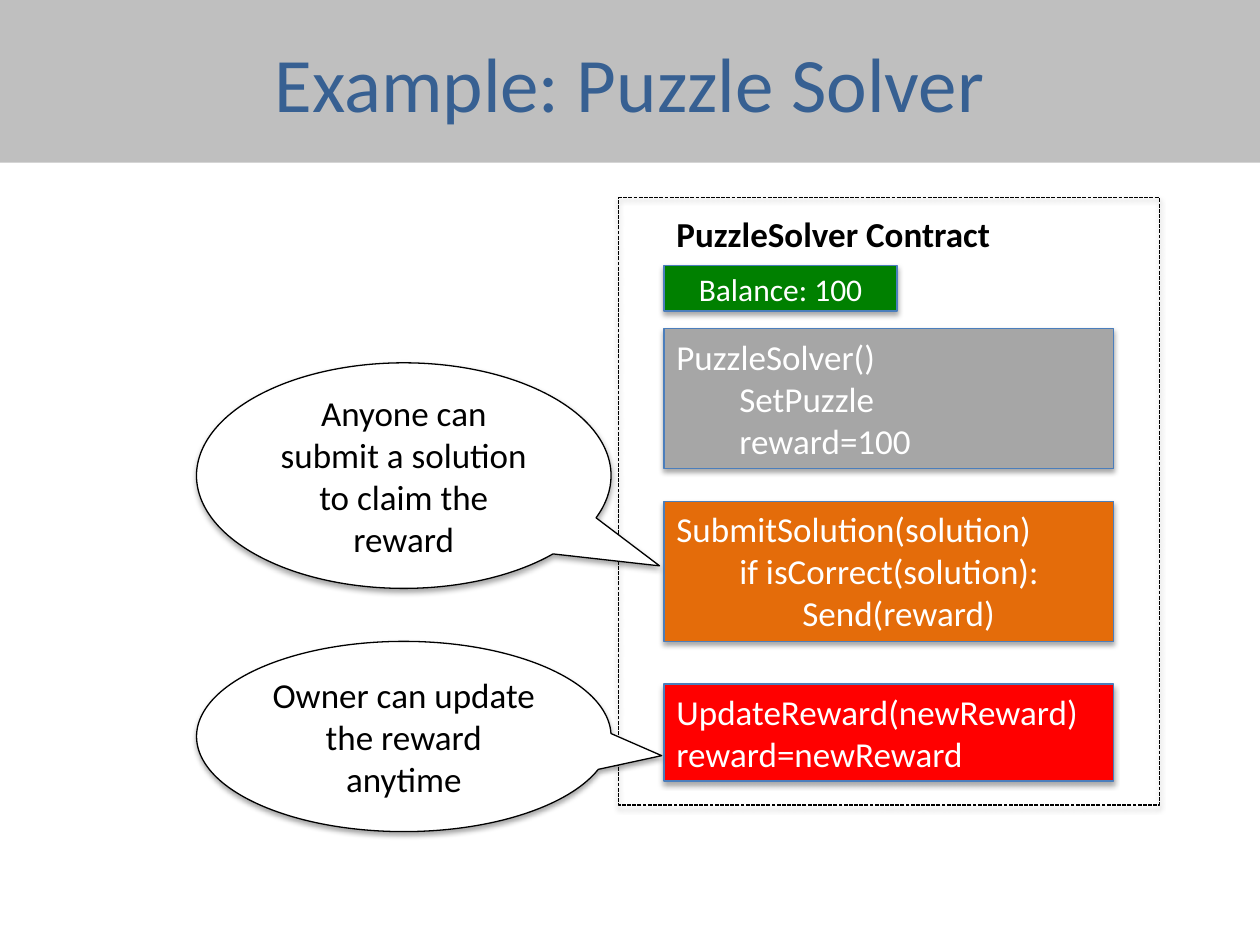
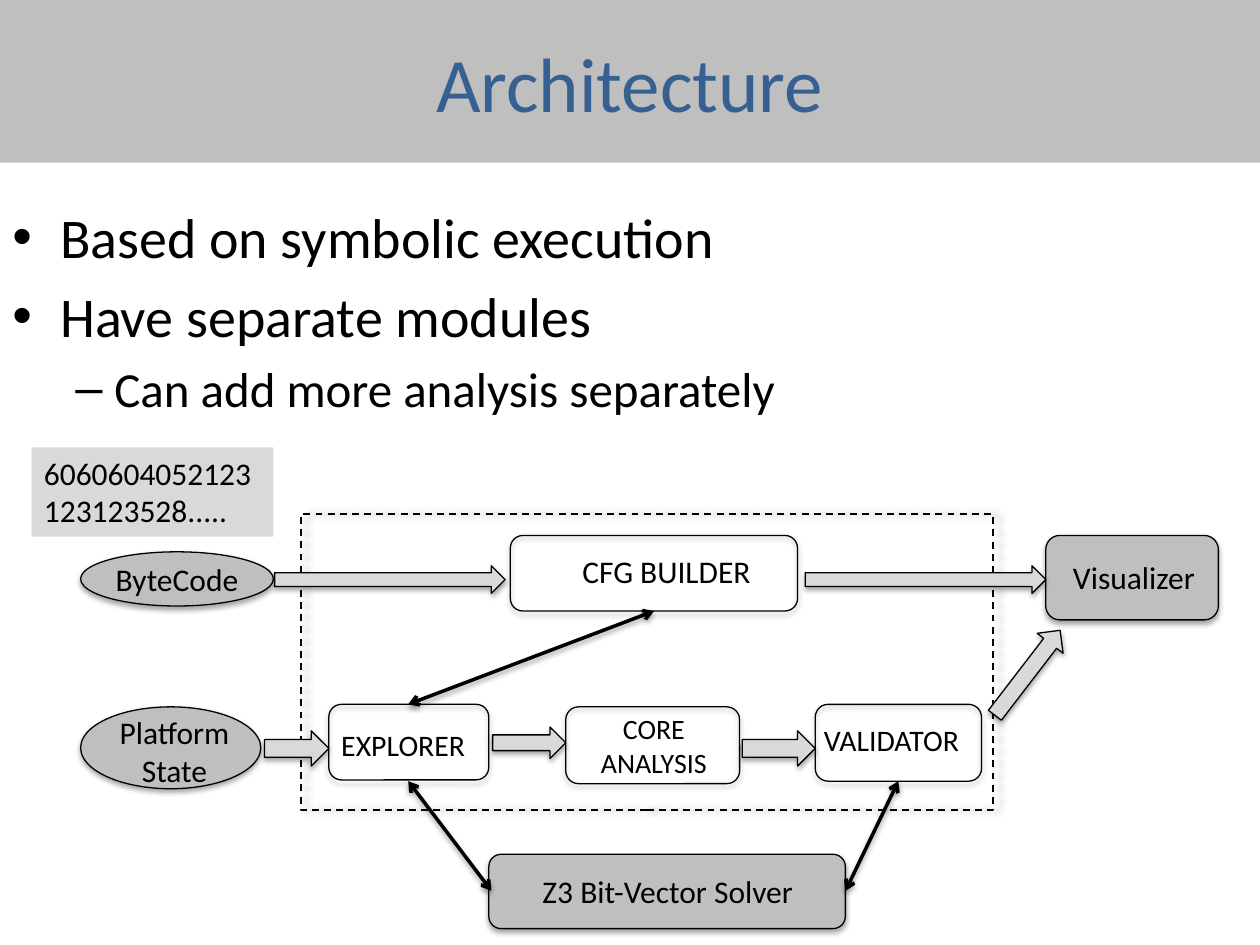
from dataclasses import dataclass

from lxml.etree import SubElement
from pptx import Presentation
from pptx.dml.color import RGBColor
from pptx.enum.dml import MSO_LINE
from pptx.enum.shapes import MSO_CONNECTOR, MSO_SHAPE
from pptx.enum.text import MSO_ANCHOR, PP_ALIGN
from pptx.oxml.ns import qn
from pptx.util import Inches, Pt


@dataclass(frozen=True)
class Theme:
    font: str = "Calibri"
    # Colours
    black: str = "000000"
    white: str = "FFFFFF"
    title: str = "376092"
    band: str = "BFBFBF"
    pale: str = "D9D9D9"
    edge: str = "4B7EBC"
    grey: str = "A6A6A6"
    orange: str = "E46C0A"
    red: str = "FF0000"
    green: str = "008000"
    # Type sizes
    title_size: int = 44
    bullet_size: int = 32
    sub_bullet_size: int = 28
    code_size: int = 20
    label_size: int = 18
    module_size: int = 17
    small_size: int = 16


THEME = Theme()
COLUMNS, ROWS = 100, 75  # square grid cells, a tenth of an inch each
CELL = Inches(0.1)
SOFT = (35, 3.1, 1.8, 90)  # shadow: opacity %, blur pt, distance pt, angle
SIDE = (40, 4, 3, 0)


def cells(*lengths):
    return [round(length * CELL) for length in lengths]


def colour(value):
    return RGBColor.from_string(value)


# ---- Element helpers ----

def add_shadow(shape, shadow):
    properties = shape._element.spPr
    effects = properties.find(qn("a:effectLst"))
    if effects is None:
        effects = SubElement(properties, qn("a:effectLst"))
    if shadow is None:
        return
    opacity, blur, distance, angle = shadow
    outer = SubElement(effects, qn("a:outerShdw"), blurRad=str(Pt(blur)),
                       dist=str(Pt(distance)), dir=str(angle * 60000), rotWithShape="0")
    tone = SubElement(outer, qn("a:srgbClr"), val=THEME.black)
    SubElement(tone, qn("a:alpha"), val=str(opacity * 1000))


def write(shape, text, size, tone=THEME.black, align=PP_ALIGN.LEFT,
          anchor=MSO_ANCHOR.TOP, bold=False):
    frame = shape.text_frame
    frame.word_wrap = True
    frame.vertical_anchor = anchor
    frame.text = text
    for para in frame.paragraphs:
        para.alignment = align
        for span in para.runs:
            span.font.name = THEME.font
            span.font.size = Pt(size)
            span.font.bold = bold
            span.font.color.rgb = colour(tone)
    return frame


def indent(para, left, hanging=0):
    properties = para._p.get_or_add_pPr()
    properties.set("marL", str(Inches(left)))
    properties.set("indent", str(-Inches(hanging)))
    return properties


def add_box(page, kind, place, fill=None, line=THEME.black, width=0.75,
            dash=None, shadow=SOFT):
    box = page.shapes.add_shape(kind, *cells(*place))
    if fill:
        box.fill.solid()
        box.fill.fore_color.rgb = colour(fill)
    else:
        box.fill.background()
    if line:
        box.line.color.rgb = colour(line)
        box.line.width = Pt(width)
        if dash:
            box.line.dash_style = dash
    else:
        box.line.fill.background()
    box.shadow.inherit = False
    add_shadow(box, shadow)
    return box


def add_label(page, place, text, size, align=PP_ALIGN.CENTER, bold=False):
    label = page.shapes.add_textbox(*cells(*place))
    write(label, text, size, align=align, bold=bold)


def add_page(deck, title):
    page = deck.slides.add_slide(deck.slide_layouts[6])
    band = add_box(page, MSO_SHAPE.RECTANGLE, (0, 0, COLUMNS, 12.9), THEME.band,
                   line=None, shadow=None)
    write(band, title, THEME.title_size, THEME.title, PP_ALIGN.CENTER, MSO_ANCHOR.MIDDLE)
    return page


def add_code(page, top, height, fill, lines):
    """Code block; lines are (indent level, text) pairs."""
    block = add_box(page, MSO_SHAPE.RECTANGLE, (52.7, top, 35.7, height), fill, THEME.edge)
    frame = write(block, "\n".join(text for _, text in lines), THEME.code_size, THEME.white)
    for para, (level, _) in zip(frame.paragraphs, lines):
        indent(para, level / 2)


def add_callout(page, top, height, tip, text):
    callout = add_box(page, MSO_SHAPE.OVAL_CALLOUT, (15.6, top, 32.9, height), THEME.white)
    callout.adjustments[0], callout.adjustments[1] = tip
    write(callout, text, THEME.code_size, align=PP_ALIGN.CENTER, anchor=MSO_ANCHOR.MIDDLE)


def add_bullets(page, place, items):
    """Bulleted list; items are (level, text) pairs."""
    styles = [("•", 0.38, 0.38, THEME.bullet_size), ("–", 0.81, 0.31, THEME.sub_bullet_size)]
    box = page.shapes.add_textbox(*cells(*place))
    frame = write(box, "\n".join(text for _, text in items), THEME.bullet_size)
    for para, (level, _) in zip(frame.paragraphs, items):
        mark, left, hanging, size = styles[level]
        para.space_before = Pt(size * 0.2)
        para.runs[0].font.size = Pt(size)
        properties = indent(para, left, hanging)
        SubElement(properties, qn("a:buFont"), typeface="Arial")
        SubElement(properties, qn("a:buChar"), char=mark)


def add_node(page, kind, place, fill, label_place, text, size, align=PP_ALIGN.CENTER):
    add_box(page, kind, place, fill)
    add_label(page, label_place, text, size, align)


def add_flow(page, place, turn=0):
    arrow = add_box(page, MSO_SHAPE.RIGHT_ARROW, place, THEME.pale)
    arrow.rotation = turn


def add_link(page, start, end):
    link = page.shapes.add_connector(MSO_CONNECTOR.STRAIGHT, *cells(*start, *end))
    link.line.color.rgb = colour(THEME.black)
    link.line.width = Pt(2)
    for tip in ("a:headEnd", "a:tailEnd"):
        SubElement(link.line._get_or_add_ln(), qn(tip), type="arrow")
    add_shadow(link, SOFT)


# ---- Slides ----

def build_puzzle(deck):
    page = add_page(deck, "Example: Puzzle Solver")

    # Contract frame and its functions
    add_box(page, MSO_SHAPE.RECTANGLE, (49.1, 15.7, 42.9, 48.2), dash=MSO_LINE.SQUARE_DOT)
    add_label(page, (52.7, 16.4, 27.9, 4.4), "PuzzleSolver Contract", THEME.code_size,
              PP_ALIGN.LEFT, bold=True)
    add_code(page, 26.1, 11.1, THEME.grey,
             [(0, "PuzzleSolver()"), (1, "SetPuzzle"), (1, "reward=100")])
    add_code(page, 39.8, 11.1, THEME.orange,
             [(0, "SubmitSolution(solution)"), (1, "if isCorrect(solution):"),
              (2, "Send(reward)")])
    add_code(page, 54.3, 7.7, THEME.red,
             [(0, "UpdateReward(newReward)"), (0, "reward=newReward")])

    # Remarks
    add_callout(page, 50.9, 15.1, (0.622, 0.101), "Owner can update the reward anytime")
    add_callout(page, 28.8, 17.9, (0.617, 0.4),
                "Anyone can submit a solution to claim the reward")

    # Balance
    balance = add_box(page, MSO_SHAPE.RECTANGLE, (52.7, 21.1, 18.5, 3.6), THEME.green, THEME.edge)
    write(balance, "Balance: 100", THEME.label_size, THEME.white,
          PP_ALIGN.CENTER, MSO_ANCHOR.MIDDLE)


def build_architecture(deck):
    page = add_page(deck, "Architecture")
    add_bullets(page, (0, 15.6, COLUMNS, 51.4),
                [(0, "Based on symbolic execution"), (0, "Have separate modules"),
                 (1, "Can add more analysis separately")])
    add_box(page, MSO_SHAPE.RECTANGLE, (23.9, 40.8, 54.9, 23.5), width=1,
            dash=MSO_LINE.DASH, shadow=SIDE)

    # Modules: outline, fill, label place, label
    rounded, oval = MSO_SHAPE.ROUNDED_RECTANGLE, MSO_SHAPE.OVAL
    label, module = THEME.label_size, THEME.module_size
    nodes = [
        (rounded, (26.1, 55.9, 12.7, 6), None, (26.1, 57.2, 12.2, 3.9),
         "EXPLORER", module, PP_ALIGN.LEFT),
        (rounded, (44.9, 56.1, 13.8, 6.1), None, (44.1, 56, 15.6, 6.4),
         "CORE ANALYSIS", THEME.small_size),
        (rounded, (38.8, 67.8, 28.3, 5.9), THEME.band, (39, 68.7, 28, 4),
         "Z3 Bit-Vector Solver", label),
        (rounded, (64.7, 55.9, 13.2, 6.1), None, (64.4, 56.8, 13.2, 3.9),
         "VALIDATOR", module, PP_ALIGN.LEFT),
        (oval, (6.4, 56.1, 14.3, 6.5), THEME.band, (7.7, 56.1, 12.3, 6.5),
         "Platform\nState", label),
        (rounded, (40.5, 42.5, 22.8, 6), None, (44.9, 43.3, 16, 4), "CFG BUILDER", label),
        (rounded, (83, 42.5, 13.7, 6.7), THEME.band, (83.2, 43.8, 13.6, 4),
         "Visualizer", label),
    ]
    for node in nodes:
        add_node(page, *node)

    # Bytecode input and its sample
    bytecode = add_box(page, oval, (6.4, 43.8, 15.3, 4.3), THEME.band)
    frame = write(bytecode, "ByteCode", label, align=PP_ALIGN.CENTER, anchor=MSO_ANCHOR.MIDDLE)
    frame.margin_left = frame.margin_right = frame.margin_top = frame.margin_bottom = 0
    sample = add_box(page, MSO_SHAPE.RECTANGLE, (2.5, 35.5, 19.2, 7.1), THEME.pale,
                     line=None, shadow=None)
    write(sample, "6060604052123123123528.....", label)

    # Data flow
    for place in [(39.1, 57.7, 5.8, 2.5), (58.9, 58, 5.8, 2.8), (21, 58, 5.1, 2.8),
                  (21.8, 44.9, 18.3, 2.2), (63.9, 44.9, 19.1, 2.2)]:
        add_flow(page, place)
    add_flow(page, (77.3, 52.1, 8.5, 2.6), turn=307.5)

    # Two-way links
    for start, end in [((51.9, 48.5), (32.4, 55.9)), ((32.4, 62), (39, 70.7)),
                       ((71.3, 62), (67.1, 70.7))]:
        add_link(page, start, end)


def main():
    deck = Presentation()
    deck.slide_width, deck.slide_height = cells(COLUMNS, ROWS)
    build_puzzle(deck)
    build_architecture(deck)
    deck.save("out.pptx")


if __name__ == "__main__":
    main()
